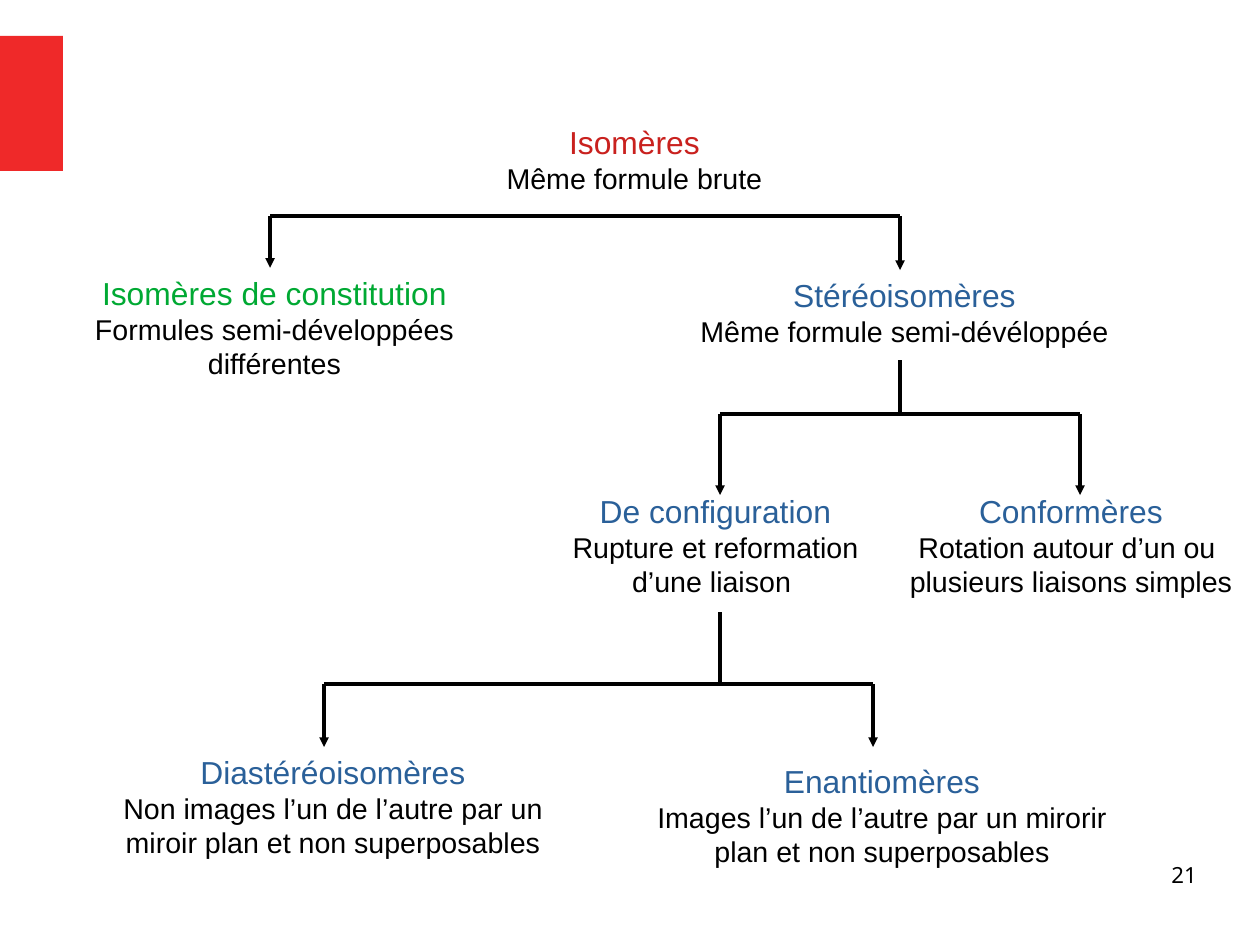
from lxml import etree
from pptx import Presentation
from pptx.dml.color import RGBColor
from pptx.enum.shapes import MSO_CONNECTOR, MSO_SHAPE
from pptx.enum.text import MSO_ANCHOR, MSO_AUTO_SIZE, PP_ALIGN
from pptx.oxml.ns import qn
from pptx.util import Cm, Pt

# Grid: 28 columns by 21 rows, one centimetre each
COLUMNS, ROWS = 28, 21
CELL = Cm(1)

RED = RGBColor(0xEF, 0x29, 0x29)
DARK_RED = RGBColor(0xC9, 0x21, 0x1E)
GREEN = RGBColor(0x00, 0xA9, 0x33)
BLUE = RGBColor(0x2A, 0x60, 0x99)
BLACK = RGBColor(0, 0, 0)

STRAIGHT = MSO_CONNECTOR.STRAIGHT
RECTANGLE = MSO_SHAPE.RECTANGLE
CENTER, RIGHT = PP_ALIGN.CENTER, PP_ALIGN.RIGHT
TOP = MSO_ANCHOR.TOP
GROW = MSO_AUTO_SIZE.SHAPE_TO_FIT_TEXT

# Title, colour, description lines, (column, row, width, height)
CLASSES = [
    ("Isomères", DARK_RED, ["Même formule brute"], (10.6, 2.6, 7, 1.75)),
    ("Isomères de constitution", GREEN,
     ["Formules semi-développées différentes"], (1.8, 5.95, 8.6, 2.46)),
    ("Stéréoisomères", BLUE,
     ["Même formule semi-dévéloppée"], (14.6, 6, 11, 1.75)),
    ("De configuration", BLUE,
     ["Rupture et reformation d’une liaison "], (12, 10.8, 7.8, 2.46)),
    ("Conformères", BLUE,
     ["Rotation autour d’un ou ", "plusieurs liaisons simples"],
     (19.8, 10.8, 8, 3.1)),
    ("Diastéréoisomères", BLUE,
     ["Non images l’un de l’autre par un miroir plan et non superposables"],
     (2.2, 16.6, 10.4, 3.18)),
    ("Enantiomères", BLUE,
     ["Images l’un de l’autre par un mirorir plan et non superposables"],
     (14.3, 16.8, 10.6, 3.8)),
]


def grid(*cells):
    return [round(cell * CELL) for cell in cells]


def format_paragraph(paragraph, size, color, font_name="Arial", align=CENTER):
    paragraph.alignment = align
    for run in paragraph.runs:
        run.font.name = font_name
        run.font.size = Pt(size)
        run.font.color.rgb = color


def add_class(slide, title, color, description, place):
    text_frame = slide.shapes.add_textbox(*grid(*place)).text_frame
    text_frame.word_wrap = True
    text_frame.auto_size = GROW
    text_frame.vertical_anchor = TOP
    text_frame.text = "\n".join([title, *description])
    heading, *details = text_frame.paragraphs
    format_paragraph(heading, 20, color)
    for paragraph in details:
        format_paragraph(paragraph, 18, BLACK)


def add_line(slide, start, end, arrow=False):
    connector = slide.shapes.add_connector(STRAIGHT, *grid(*start, *end))
    connector.line.color.rgb = BLACK
    connector.line.width = Pt(0)
    if arrow:
        outline = connector.line._get_or_add_ln()
        etree.SubElement(outline, qn("a:tailEnd"), type="triangle")
    etree.SubElement(connector._element.spPr, qn("a:effectLst"))


def add_branch(slide, bar_row, bar_columns, arrow_rows, stem=None):
    """Draw an optional stem, a horizontal bar and an arrow at each bar end."""
    if stem:
        stem_column, stem_row = stem
        add_line(slide, stem, (stem_column, bar_row))
    for left, right in zip(bar_columns, bar_columns[1:]):
        add_line(slide, (left, bar_row), (right, bar_row))
    for column, row in zip((bar_columns[0], bar_columns[-1]), arrow_rows):
        add_line(slide, (column, bar_row), (column, row), arrow=True)


def add_side_bar(slide):
    bar = slide.shapes.add_shape(RECTANGLE, *grid(0, 0.8, 1.4, 3))
    bar.shadow.inherit = False
    bar.fill.solid()
    bar.fill.fore_color.rgb = RED
    bar.line.fill.background()


def add_page_number(slide, number):
    text_frame = slide.shapes.add_textbox(*grid(20.07, 19.13, 6.53, 1.45)).text_frame
    text_frame.word_wrap = True
    text_frame.margin_left = text_frame.margin_right = 0
    text_frame.margin_top = text_frame.margin_bottom = 0
    text_frame.text = number
    format_paragraph(text_frame.paragraphs[0], 14, BLACK, "Noto Sans", RIGHT)


def main():
    presentation = Presentation()
    presentation.slide_width, presentation.slide_height = grid(COLUMNS, ROWS)
    slide = presentation.slides.add_slide(presentation.slide_layouts[6])

    add_side_bar(slide)

    # Classes of isomers
    for isomer_class in CLASSES:
        add_class(slide, *isomer_class)

    # Branches of the tree
    add_branch(slide, 4.8, (6, 14, 20), (5.95, 6))
    add_branch(slide, 9.2, (16, 24), (11, 11), stem=(20, 8))
    add_branch(slide, 15.2, (7.2, 12.4, 19.4), (16.6, 16.6), stem=(16, 13.6))

    add_page_number(slide, "21")
    presentation.save("out.pptx")


if __name__ == "__main__":
    main()
